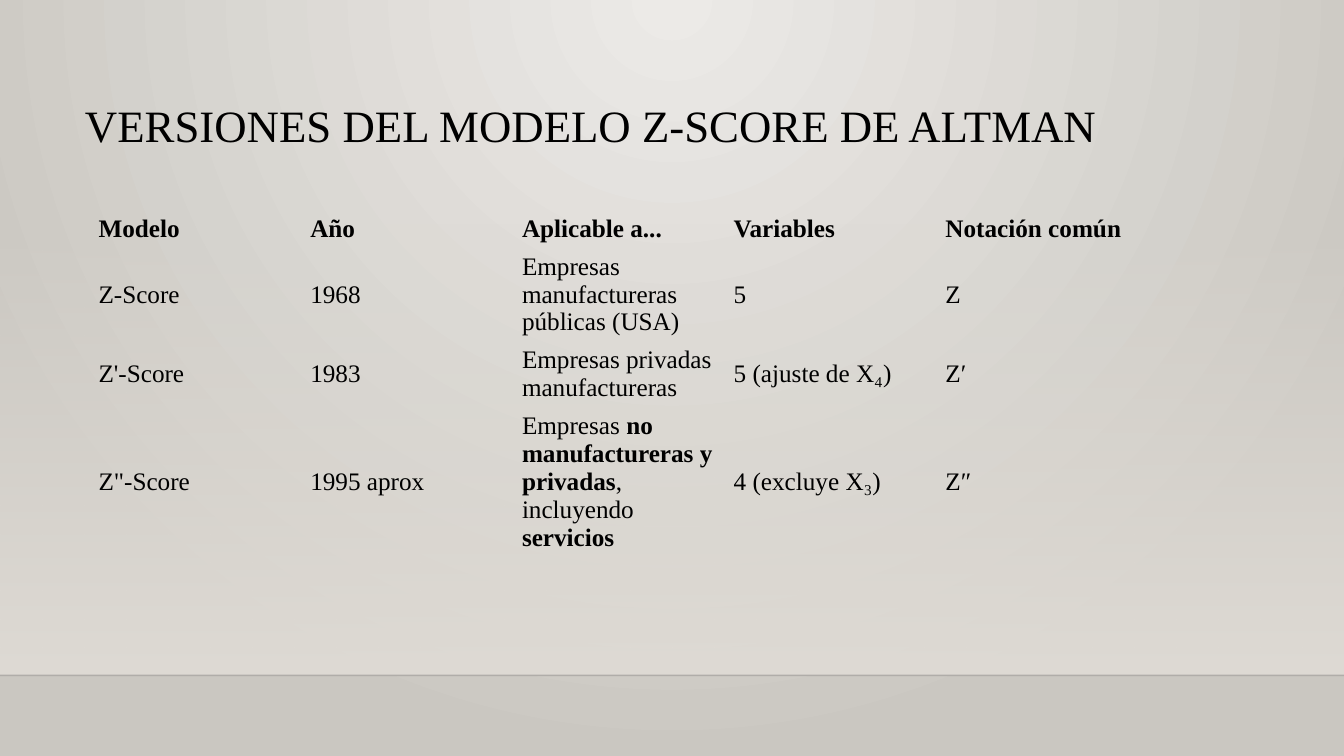
from lxml import etree
from pptx import Presentation
from pptx.dml.color import RGBColor
from pptx.enum.shapes import MSO_CONNECTOR, MSO_SHAPE
from pptx.enum.text import MSO_ANCHOR, PP_ALIGN
from pptx.oxml.ns import qn
from pptx.util import Pt

RECT, STRAIGHT = MSO_SHAPE.RECTANGLE, MSO_CONNECTOR.STRAIGHT
MIDDLE, LEFT = MSO_ANCHOR.MIDDLE, PP_ALIGN.LEFT

WIDTH, HEIGHT = 960, 540
FLOOR_Y = 482.4
FONT = "Times New Roman"
COLORS = {"text": "000000", "glow": "ECEAE7", "edge": "CAC7C1",
          "wall": "DFDBD5", "floor_line": "000001"}
NO_GRID_STYLE = "{2D5ABB26-0587-4C30-8999-92F81FD0307C}"
LINE_HEIGHT, CELL_PADDING = 20, 7

# Each cell is a list of text pieces, alternately plain and bold.
HEADER = ["Modelo", "Año", "Aplicable a...", "Variables", "Notación común"]
MODELS = [
    [["Z-Score"], ["1968"], ["Empresas manufactureras públicas (USA)"], ["5"], ["Z"]],
    [["Z'-Score"], ["1983"], ["Empresas privadas manufactureras"],
     ["5 (ajuste de X₄)"], ["Z′"]],
    [['Z"‑Score'], ["1995 aprox"],
     ["Empresas ", "no manufactureras y privadas", ", incluyendo ", "servicios"],
     ["4 (excluye X₃)"], ["Z″"]],
]
ROW_LINES = [1, 3, 2, 5]


def rgb(name):
    return RGBColor.from_string(COLORS[name])


def add_alpha(color_element, percent):
    etree.SubElement(color_element, qn("a:alpha"), val=str(percent * 1000))


class SlideBuilder:
    def __init__(self, prs):
        self.s = prs.slides.add_slide(prs.slide_layouts[5])

    def gradient(self, fill, start, end):
        fill.gradient()
        for stop, name, position in zip(fill.gradient_stops, (start, end), (0, 1)):
            stop.color.rgb = rgb(name)
            stop.position = position

    def background(self):
        """Radial glow centred on the top edge."""
        self.gradient(self.s.background.fill, "glow", "edge")
        grad = self.s.element.find(".//" + qn("p:bgPr")).find(qn("a:gradFill"))
        grad.remove(grad.find(qn("a:lin")))
        circle = etree.SubElement(grad, qn("a:path"), path="circle")
        etree.SubElement(circle, qn("a:fillToRect"),
                         l="43000", t="0", r="43000", b="100000")

    def wall(self, top, bottom):
        """Band that fades in from clear to solid going down."""
        sp = self.s.shapes.add_shape(RECT, 0, Pt(top), Pt(WIDTH), Pt(bottom - top))
        sp.shadow.inherit = False
        sp.line.fill.background()
        self.gradient(sp.fill, "wall", "wall")
        sp.fill.gradient_angle = 270
        add_alpha(sp.element.spPr.find(".//" + qn("a:srgbClr")), 0)

    def floor_line(self, y):
        line = self.s.shapes.add_connector(STRAIGHT, 0, Pt(y), Pt(WIDTH), Pt(y))
        line.line.width = Pt(1)
        line.line.color.rgb = rgb("floor_line")
        props = line.element.spPr
        add_alpha(props.find(".//" + qn("a:srgbClr")), 20)
        etree.SubElement(props, qn("a:effectLst"))

    def style(self, p, size):
        p.alignment = LEFT
        p.font.name = FONT
        p.font.size = Pt(size)
        p.font.color.rgb = rgb("text")

    def title(self, text, left, top, width, height):
        sp = self.s.shapes.title
        sp.left, sp.top, sp.width, sp.height = map(Pt, (left, top, width, height))
        tf = sp.text_frame
        tf.text = text
        tf.word_wrap = True
        tf.vertical_anchor = MIDDLE
        p = tf.paragraphs[0]
        self.style(p, 32)
        p.line_spacing = 0.8

    def cell(self, cell, pieces):
        cell.fill.background()
        cell.vertical_anchor = MIDDLE
        p = cell.text_frame.paragraphs[0]
        self.style(p, 18)
        for i, piece in enumerate(pieces):
            r = p.add_run()
            r.text = piece
            r.font.name = FONT
            r.font.size = Pt(18)
            r.font.color.rgb = rgb("text")
            r.font.bold = i % 2 == 1

    def table(self, rows, row_lines, left, top, col_width):
        heights = [n * LINE_HEIGHT + CELL_PADDING for n in row_lines]
        cols = len(rows[0])
        frame = self.s.shapes.add_table(len(rows), cols, Pt(left), Pt(top),
                                        Pt(col_width * cols), Pt(sum(heights)))
        table = frame.table
        table.first_row = table.horz_banding = False
        frame.element.find(".//" + qn("a:tableStyleId")).text = NO_GRID_STYLE
        for column in table.columns:
            column.width = Pt(col_width)
        for i, (row, height) in enumerate(zip(rows, heights)):
            table.rows[i].height = Pt(height)
            for j, pieces in enumerate(row):
                self.cell(table.cell(i, j), pieces)


def main():
    prs = Presentation()
    prs.slide_width, prs.slide_height = Pt(WIDTH), Pt(HEIGHT)
    slide = SlideBuilder(prs)
    slide.background()
    slide.wall(159, FLOOR_Y)
    slide.floor_line(FLOOR_Y)
    slide.title("VERSIONES DEL MODELO Z-SCORE DE ALTMAN", 53.5, 72, 756, 41)
    header = [["", text] for text in HEADER]
    slide.table([header] + MODELS, ROW_LINES, 63.2, 149.7, 151.25)
    prs.save("out.pptx")


if __name__ == "__main__":
    main()
